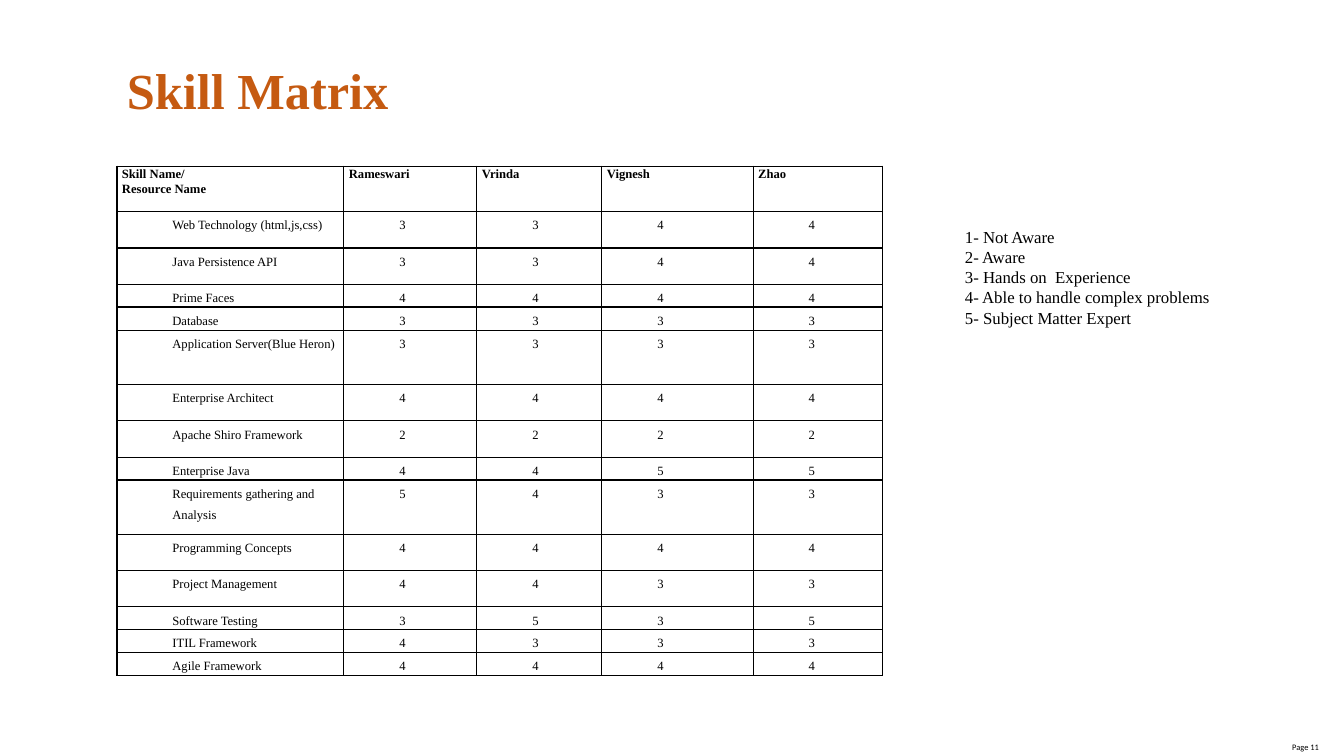
from lxml.etree import SubElement
from pptx import Presentation
from pptx.dml.color import RGBColor
from pptx.enum.text import MSO_ANCHOR, PP_ALIGN
from pptx.oxml.ns import qn
from pptx.util import Inches, Pt

FONT = "Times New Roman"
HEADERS = ["Skill Name/\nResource Name", "Rameswari", "Vrinda", "Vignesh", "Zhao"]
COL_WIDTHS = [2.25, 1.32, 1.24, 1.5, 1.28]
HEADER_HEIGHT = 0.45
SKILLS = [
    ("Web Technology (html,js,css)", "3344", 0.36),
    ("Java Persistence API", "3344", 0.36),
    ("Prime Faces", "4444", 0.21),
    ("Database", "3333", 0.23),
    ("Application Server(Blue Heron)", "3333", 0.54),
    ("Enterprise Architect", "4444", 0.36),
    ("Apache Shiro Framework", "2222", 0.36),
    ("Enterprise Java", "4455", 0.21),
    ("Requirements gathering and Analysis", "5433", 0.54),
    ("Programming Concepts", "4444", 0.36),
    ("Project Management", "4433", 0.36),
    ("Software Testing", "3535", 0.21),
    ("ITIL Framework", "4333", 0.21),
    ("Agile Framework", "4444", 0.21),
]
LEVELS = [
    "1- Not Aware",
    "2- Aware",
    "3- Hands on  Experience",
    "4- Able to handle complex problems",
    "5- Subject Matter Expert",
]


def color(value):
    return RGBColor.from_string(value)


def write(tf, text, size, font=FONT, fill="000000", bold=False,
          align=PP_ALIGN.LEFT, spacing=1.0, indent=0):
    for i, line in enumerate(text.split("\n")):
        p = tf.paragraphs[0] if i == 0 else tf.add_paragraph()
        p.alignment = align
        p.line_spacing = spacing
        if indent:
            pPr = p._p.get_or_add_pPr()
            pPr.set("marL", str(Inches(indent)))
            pPr.set("indent", "0")
        r = p.add_run()
        r.text = line
        r.font.name = font
        r.font.size = Pt(size)
        r.font.bold = bold
        r.font.color.rgb = color(fill)


def add_text(s, x, y, w, h, text, size, wrap=True, left=0.1,
             anchor=MSO_ANCHOR.TOP, **fmt):
    tf = s.shapes.add_textbox(Inches(x), Inches(y), Inches(w), Inches(h)).text_frame
    tf.word_wrap = wrap
    tf.vertical_anchor = anchor
    tf.margin_left = Inches(left)
    write(tf, text, size, **fmt)


def add_borders(cell, value="000000", width=1):
    tcPr = cell._tc.get_or_add_tcPr()
    for side in ("a:lnL", "a:lnR", "a:lnT", "a:lnB"):
        ln = SubElement(tcPr, qn(side), w=str(Pt(width)))
        SubElement(SubElement(ln, qn("a:solidFill")), qn("a:srgbClr"), val=value)


def fill_cell(cell, text, **fmt):
    cell.margin_left = cell.margin_right = Inches(0.05)
    cell.margin_top = cell.margin_bottom = 0
    add_borders(cell)
    cell.fill.solid()
    cell.fill.fore_color.rgb = color("FFFFFF")
    write(cell.text_frame, text, 9, **fmt)


def add_skill_table(s, x, y):
    heights = [HEADER_HEIGHT] + [height for _, _, height in SKILLS]
    table = s.shapes.add_table(len(heights), len(HEADERS), Inches(x), Inches(y),
                               Inches(sum(COL_WIDTHS)), Inches(sum(heights))).table
    table.first_row = table.horz_banding = False
    for col, width in zip(table.columns, COL_WIDTHS):
        col.width = Inches(width)
    for row, height in zip(table.rows, heights):
        row.height = Inches(height)
    for c, name in enumerate(HEADERS):
        fill_cell(table.cell(0, c), name, bold=True, spacing=1.07)
    for r, (skill, scores, _) in enumerate(SKILLS, 1):
        for c, text in enumerate([skill, *scores]):
            align = PP_ALIGN.JUSTIFY if c else PP_ALIGN.LEFT
            fill_cell(table.cell(r, c), text, align=align, spacing=1.5, indent=0.5)


def main():
    prs = Presentation()
    prs.slide_width, prs.slide_height = Inches(13.33), Inches(7.5)
    s = prs.slides.add_slide(prs.slide_layouts[6])
    add_text(s, 12.65, 7.31, 0.53, 0.2, "Page 11", 6, wrap=False,
             font="Calibri", align=PP_ALIGN.RIGHT)
    add_text(s, 1.16, 0.52, 10, 0.8, "Skill Matrix", 36, anchor=MSO_ANCHOR.MIDDLE,
             fill="C55A11", bold=True, spacing=0.9)
    add_skill_table(s, 1.16, 1.65)
    add_text(s, 9.43, 2.2, 2.79, 1.11, "\n".join(LEVELS), 12, left=0.14)
    prs.save("out.pptx")


if __name__ == "__main__":
    main()
